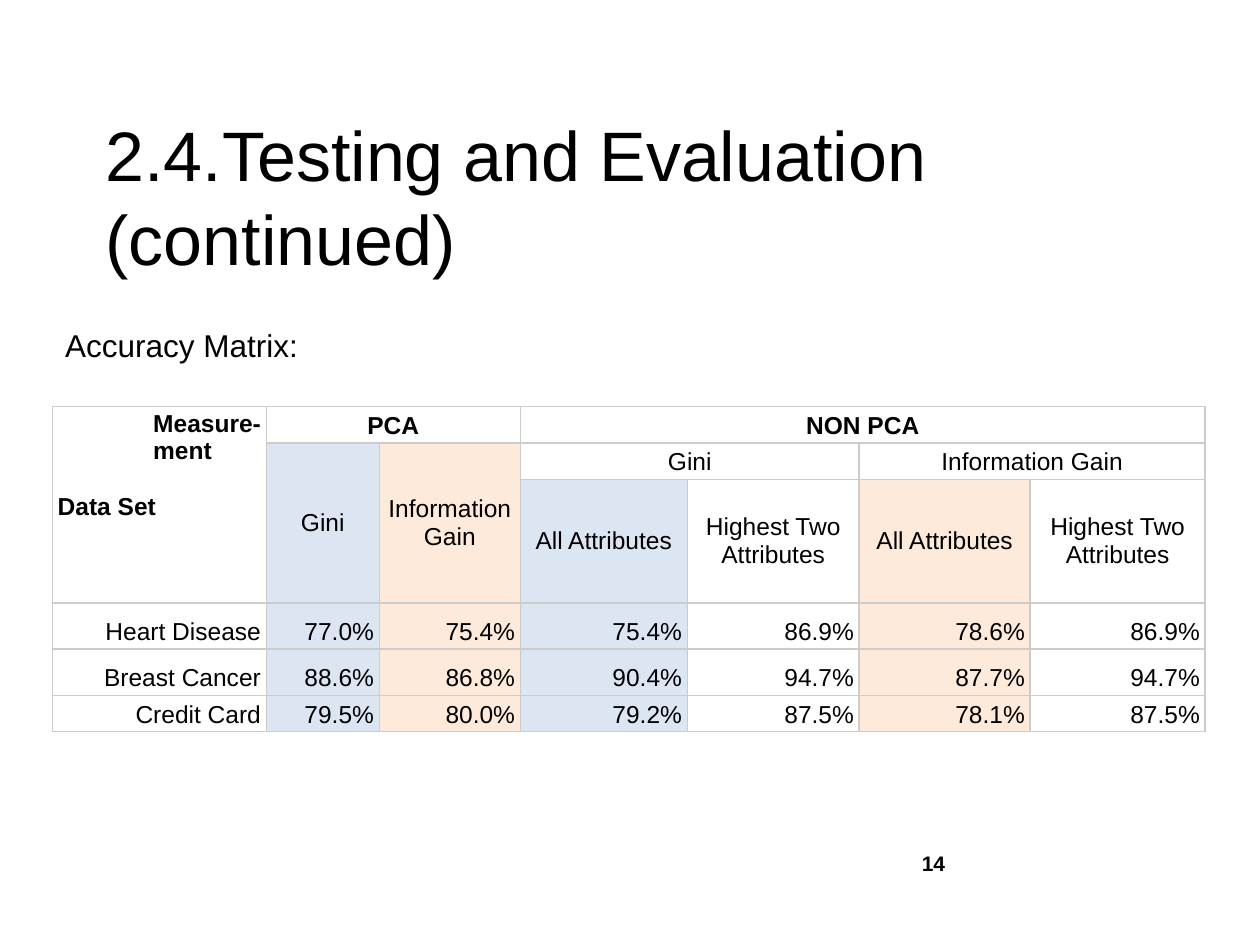
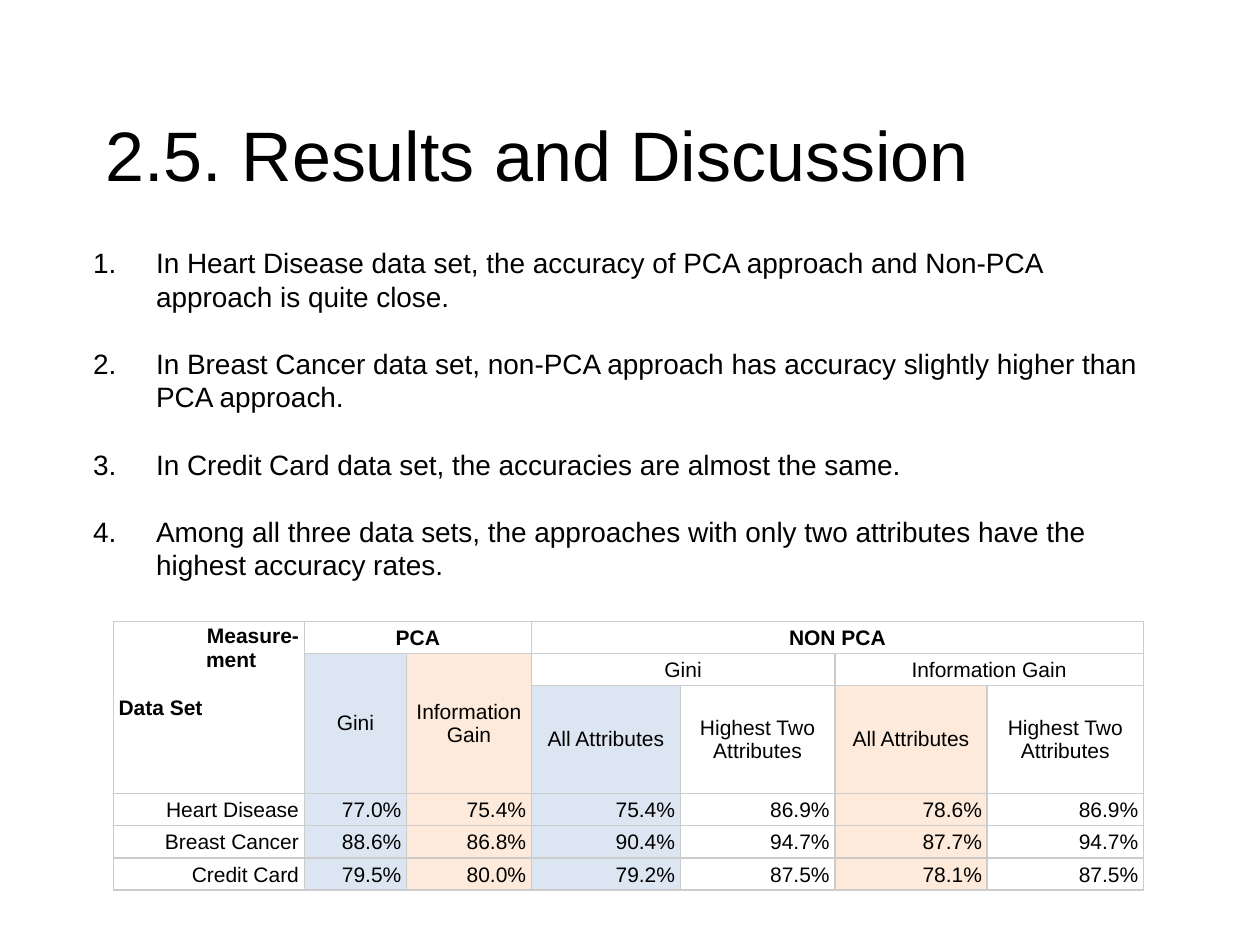
from dataclasses import dataclass

from lxml.etree import SubElement
from pptx import Presentation
from pptx.dml.color import RGBColor as Rgb
from pptx.enum.text import MSO_ANCHOR as Anchor, PP_ALIGN as Align
from pptx.oxml.ns import qn
from pptx.util import Pt


@dataclass(frozen=True)
class Theme:
    font: str = "Arial"
    ink: str = "000000"
    grid: str = "CCCCCC"
    gini: str = "DCE6F2"
    gain: str = "FDEADA"
    title: int = 40
    label: int = 18
    body: int = 16
    number: int = 12
    leading: float = 1.2
    single: float = 1.15


theme = Theme()

HEADERS = [
    (0, 0, 3, 1, "Measure-\nment\nData Set"),
    (0, 1, 1, 2, "PCA"),
    (0, 3, 1, 4, "NON PCA"),
    (1, 1, 2, 1, "Gini"),
    (1, 2, 2, 1, "Information Gain"),
    (1, 3, 1, 2, "Gini"),
    (1, 5, 1, 2, "Information Gain"),
    (2, 3, 1, 1, "All Attributes"),
    (2, 4, 1, 1, "Highest Two Attributes"),
    (2, 5, 1, 1, "All Attributes"),
    (2, 6, 1, 1, "Highest Two Attributes"),
]
ACCURACIES = [
    ("Heart Disease", "77.0%", "75.4%", "75.4%", "86.9%", "78.6%", "86.9%"),
    ("Breast Cancer", "88.6%", "86.8%", "90.4%", "94.7%", "87.7%", "94.7%"),
    ("Credit Card", "79.5%", "80.0%", "79.2%", "87.5%", "78.1%", "87.5%"),
]
COLUMN_FILLS = [None, theme.gini, theme.gain, theme.gini, None, theme.gain, None]
FINDINGS = [
    "In Heart Disease data set, the accuracy of PCA approach and Non-PCA approach is quite close.",
    "In Breast Cancer data set, non-PCA approach has accuracy slightly higher than PCA approach.",
    "In Credit Card data set, the accuracies are almost the same.",
    "Among all three data sets, the approaches with only two attributes have the highest accuracy rates.",
]


def add_text(page, place, text, size, bold=False, align=Align.LEFT):
    box = page.shapes.add_textbox(*map(Pt, place))
    frame = box.text_frame
    frame.word_wrap = True
    frame.text = text
    for para in frame.paragraphs:
        para.alignment = align
        para.line_spacing = Pt(size * theme.leading)
        for span in para.runs:
            span.font.name = theme.font
            span.font.size = Pt(size)
            span.font.bold = bold
            span.font.color.rgb = Rgb.from_string(theme.ink)
    return frame


def add_accuracy_table(page, left, top, widths, heights, size, second_line_indent):
    table = page.shapes.add_table(
        len(heights), len(widths), Pt(left), Pt(top), Pt(sum(widths)), Pt(sum(heights))
    ).table
    table.first_row = table.horz_banding = False
    for column, width in zip(table.columns, widths):
        column.width = Pt(width)
    for row, height in zip(table.rows, heights):
        row.height = Pt(height)
    for row, column, down, across, text in HEADERS:
        cell = table.cell(row, column)
        cell.text = text
        if down * across > 1:
            cell.merge(table.cell(row + down - 1, column + across - 1))
    for row, values in enumerate(ACCURACIES, 3):
        for column, value in enumerate(values):
            table.cell(row, column).text = value

    for row in range(len(heights)):
        for column, fill in enumerate(COLUMN_FILLS):
            cell = table.cell(row, column)
            cell.margin_left = cell.margin_right = Pt(3)
            cell.margin_top = cell.margin_bottom = Pt(2)
            cell_props = cell._tc.get_or_add_tcPr()
            for side in ("lnL", "lnR", "lnT", "lnB"):
                border = SubElement(cell_props, qn(f"a:{side}"), w=str(Pt(1)))
                paint = SubElement(border, qn("a:solidFill"))
                SubElement(paint, qn("a:srgbClr"), val=theme.grid)
            if fill and (row > 1 or row == 1 and column < 3):
                cell.fill.solid()
                cell.fill.fore_color.rgb = Rgb.from_string(fill)
            else:
                cell.fill.background()
            centred = row in (1, 2) and (column < 3 or row == 2)
            cell.vertical_anchor = Anchor.MIDDLE if centred else Anchor.BOTTOM
            for para in cell.text_frame.paragraphs:
                para.alignment = Align.CENTER if row < 3 else Align.RIGHT
                for span in para.runs:
                    span.font.name = theme.font
                    span.font.size = Pt(size)
                    span.font.bold = row == 0
                    span.font.color.rgb = Rgb.from_string(theme.ink)

    corner = table.cell(0, 0)
    corner.vertical_anchor = Anchor.TOP
    measure, ment, data_set = corner.text_frame.paragraphs
    measure.alignment = Align.RIGHT
    ment.alignment = data_set.alignment = Align.LEFT
    ment._p.get_or_add_pPr().set("marL", str(Pt(second_line_indent)))
    data_set.space_before = Pt(size * theme.single)


deck = Presentation()
deck.slide_width, deck.slide_height = Pt(720), Pt(540)
pages = []
for heading in ("2.4.Testing and Evaluation (continued)", "2.5. Results and Discussion"):
    page = deck.slides.add_slide(deck.slide_layouts[6])
    title = add_text(page, (53.3, 57.6, 612, 64.8), heading, theme.title)
    title.margin_top = Pt(6)
    pages.append(page)
testing, results = pages

number = add_text(testing, (379.4, 478.8, 167.8, 28.8), "14", theme.number, True, Align.RIGHT)
number.vertical_anchor = Anchor.MIDDLE
add_text(testing, (30.2, 182.9, 187.2, 28.8), "Accuracy Matrix:", theme.label)
add_accuracy_table(
    testing, 30, 232.4,
    (122.2, 64.6, 80.6, 95.4, 98.3, 97.7, 100),
    (20.8, 20.8, 66.9, 26.4, 26.4, 20.8),
    14, 54.5,
)

findings = add_text(results, (46.1, 136.8, 627.1, 200.9), "\n".join(FINDINGS), theme.body)
for position, para in enumerate(findings.paragraphs):
    para.space_before = Pt(theme.body * theme.leading if position else 0)
    para_props = para._p.get_or_add_pPr()
    para_props.set("marL", str(Pt(36)))
    para_props.set("indent", str(Pt(-36)))
    SubElement(para_props, qn("a:buFont"), typeface="+mj-lt")
    SubElement(para_props, qn("a:buAutoNum"), type="arabicPeriod")
add_accuracy_table(
    results, 64.8, 355,
    (109.1, 58.5, 71.3, 85.1, 88.3, 87.1, 89.3),
    (18.2, 18.2, 61.6, 18.2, 18.2, 18.2),
    12, 50,
)

deck.save("out.pptx")
